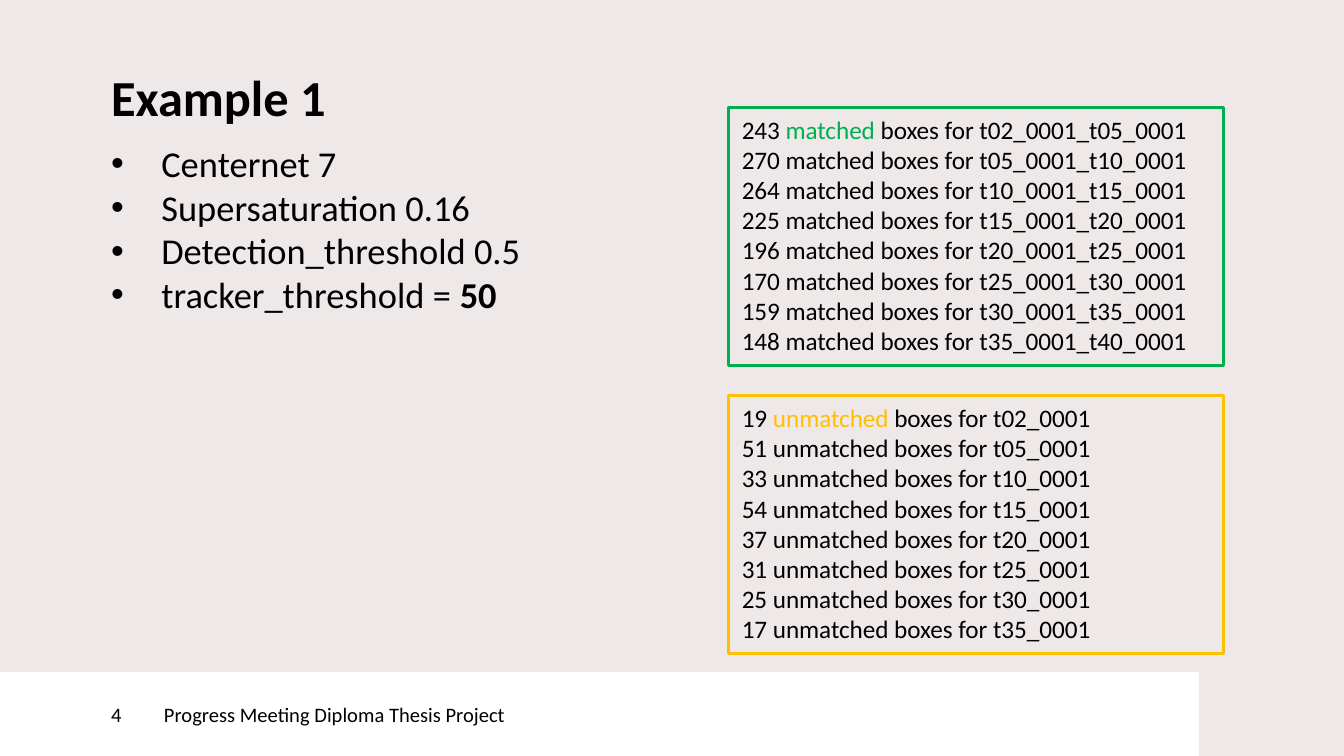
from dataclasses import dataclass

from lxml.etree import SubElement
from pptx import Presentation
from pptx.dml.color import RGBColor
from pptx.enum.shapes import MSO_SHAPE
from pptx.enum.text import MSO_ANCHOR, MSO_AUTO_SIZE, PP_ALIGN
from pptx.oxml.ns import qn
from pptx.util import Cm, Pt


@dataclass(frozen=True)
class Theme:
    font: str = "Calibri"
    background: str = "EEE8E8"
    text: str = "000000"
    footer: str = "FFFFFF"
    matched: str = "00B050"
    unmatched: str = "FFC000"
    title_size: float = 27
    body_size: float = 19.5
    panel_size: float = 13.5
    footer_size: float = 11


THEME = Theme()

SETTINGS = [
    [("Centernet 7", False)],
    [("Supersaturation 0.16", False)],
    [("Detection_threshold 0.5", False)],
    [("tracker_threshold = ", False), ("50", True)],
]
FRAMES = ["02", "05", "10", "15", "20", "25", "30", "35", "40"]
MATCHED_COUNTS = [243, 270, 264, 225, 196, 170, 159, 148]
UNMATCHED_COUNTS = [19, 51, 33, 54, 37, 31, 25, 17]


def add_run(paragraph, text, size, color=THEME.text, bold=False):
    run = paragraph.add_run()
    run.text = text
    run.font.name = THEME.font
    run.font.size = Pt(size)
    run.font.bold = bold
    run.font.color.rgb = RGBColor.from_string(color)


def paragraphs_for(text_frame, items):
    """Yield each item with its own paragraph, starting with the existing one."""
    for index, item in enumerate(items):
        paragraph = text_frame.paragraphs[0] if index == 0 else text_frame.add_paragraph()
        paragraph.alignment = PP_ALIGN.LEFT
        yield paragraph, item


def set_insets(text_frame, left=0):
    text_frame.margin_left = Cm(left)
    text_frame.margin_top = text_frame.margin_right = text_frame.margin_bottom = 0


def add_text_box(slide, box):
    text_frame = slide.shapes.add_textbox(*map(Cm, box)).text_frame
    text_frame.word_wrap = True
    set_insets(text_frame)
    return text_frame


def add_rectangle(slide, box):
    shape = slide.shapes.add_shape(MSO_SHAPE.RECTANGLE, *map(Cm, box))
    shape.shadow.inherit = False
    return shape


def add_title(slide, box, text):
    paragraph = add_text_box(slide, box).paragraphs[0]
    paragraph.line_spacing = Pt(THEME.title_size)
    add_run(paragraph, text, THEME.title_size, bold=True)


def add_settings(slide, box, settings):
    indent = Cm(0.95)
    for paragraph, parts in paragraphs_for(add_text_box(slide, box), settings):
        properties = paragraph._p.get_or_add_pPr()
        properties.set("marL", str(indent))
        properties.set("indent", str(-indent))
        SubElement(properties, qn("a:buFont")).set("typeface", "Arial")
        SubElement(properties, qn("a:buChar")).set("char", "•")
        for text, bold in parts:
            add_run(paragraph, text, THEME.body_size, bold=bold)


def add_count_panel(slide, box, color, keyword, lines):
    """Outlined list whose first line shows the keyword in the outline colour."""
    panel = add_rectangle(slide, box)
    panel.fill.background()
    panel.line.color.rgb = RGBColor.from_string(color)
    panel.line.width = Pt(1.5)
    text_frame = panel.text_frame
    text_frame.word_wrap = True
    text_frame.auto_size = MSO_AUTO_SIZE.SHAPE_TO_FIT_TEXT
    text_frame.vertical_anchor = MSO_ANCHOR.TOP
    for paragraph, line in paragraphs_for(text_frame, lines):
        if line == lines[0]:
            before, after = line.split(keyword)
            add_run(paragraph, before, THEME.panel_size)
            add_run(paragraph, keyword, THEME.panel_size, color)
            add_run(paragraph, after, THEME.panel_size)
        else:
            add_run(paragraph, line, THEME.panel_size)


def add_footer(slide, box, number, text):
    left, top, width, height = box
    number_width = 3.1
    cells = [
        (text, left + number_width, width - number_width, 0),
        (number, left, number_width, 2.1),
    ]
    for label, cell_left, cell_width, inset in cells:
        cell = add_rectangle(slide, (cell_left, top, cell_width, height))
        cell.fill.solid()
        cell.fill.fore_color.rgb = RGBColor.from_string(THEME.footer)
        cell.line.fill.background()
        set_insets(cell.text_frame, inset)
        cell.text_frame.word_wrap = True
        cell.text_frame.vertical_anchor = MSO_ANCHOR.MIDDLE
        paragraph = cell.text_frame.paragraphs[0]
        paragraph.alignment = PP_ALIGN.LEFT
        add_run(paragraph, label, THEME.footer_size)


def main():
    presentation = Presentation()
    presentation.slide_width, presentation.slide_height = Cm(25.4), Cm(14.29)
    slide = presentation.slides.add_slide(presentation.slide_layouts[6])
    slide.background.fill.solid()
    slide.background.fill.fore_color.rgb = RGBColor.from_string(THEME.background)

    add_title(slide, (2.1, 1.45, 20.98, 1.5), "Example 1")
    add_settings(slide, (2.1, 2.67, 20.98, 9.07), SETTINGS)
    add_footer(slide, (0, 12.7, 22.66, 1.59), "4", "Progress Meeting Diploma Thesis Project")

    matched_lines = [
        f"{count} matched boxes for t{start}_0001_t{end}_0001"
        for count, start, end in zip(MATCHED_COUNTS, FRAMES, FRAMES[1:])
    ]
    unmatched_lines = [
        f"{count} unmatched boxes for t{frame}_0001"
        for count, frame in zip(UNMATCHED_COUNTS, FRAMES)
    ]
    panels = [
        (THEME.matched, "matched", matched_lines),
        (THEME.unmatched, "unmatched", unmatched_lines),
    ]
    for index, panel in enumerate(panels):
        add_count_panel(slide, (13.77, 2.03 + index * 5.45, 9.35, 4.88), *panel)

    presentation.save("out.pptx")


if __name__ == "__main__":
    main()
